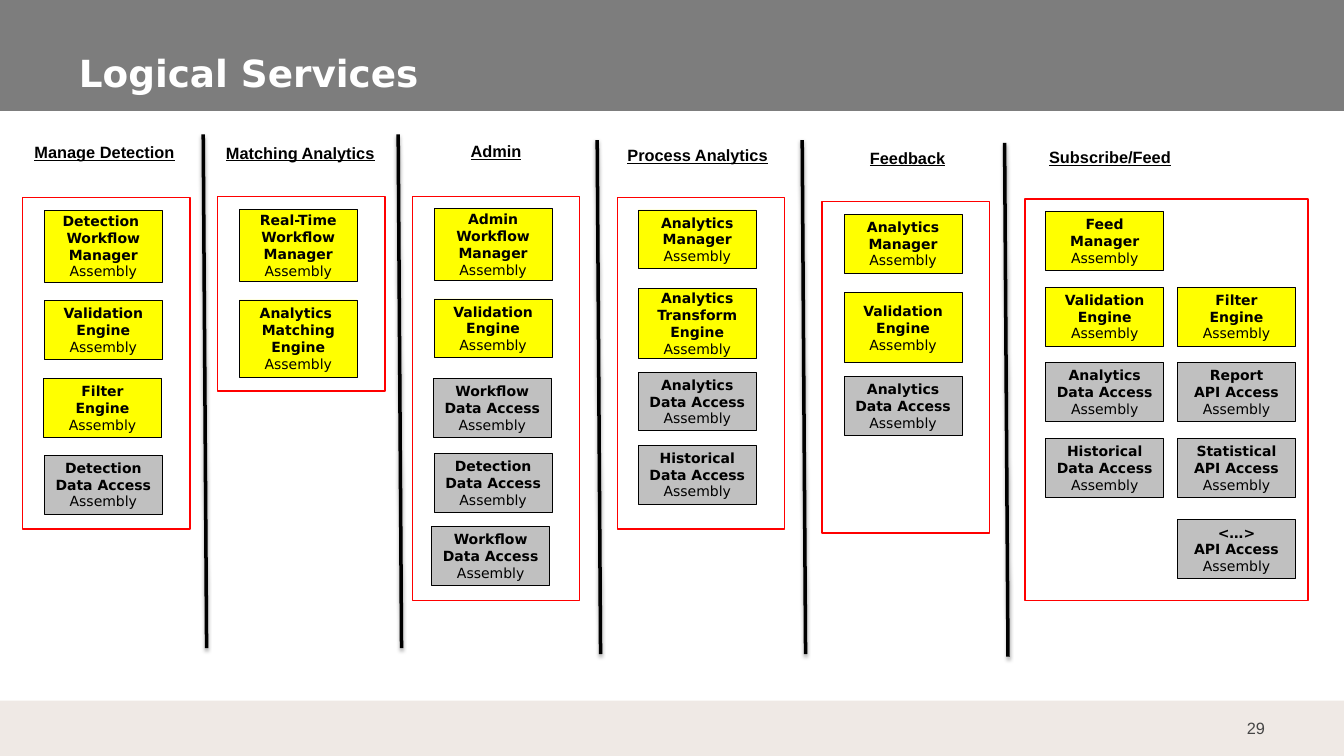
from lxml import etree
from pptx import Presentation
from pptx.dml.color import RGBColor
from pptx.enum import shapes, text
from pptx.oxml import ns
from pptx.util import Pt

BLACK = RGBColor(0, 0, 0)
WHITE = RGBColor(255, 255, 255)
RED = RGBColor(255, 0, 0)
YELLOW = RGBColor(255, 255, 0)
SILVER = RGBColor(0xC0, 0xC0, 0xC0)
GREY = RGBColor(0x7D, 0x7D, 0x7D)
BEIGE = RGBColor(0xEF, 0xE9, 0xE5)
DARK = RGBColor(0x46, 0x46, 0x46)
SANS, ARIAL = "DejaVu Sans", "Arial"
BOX_W, BOX_H, TALL, MID = 101, 50.4, 62, 60.5
PANEL_W, HEAD_W, HEAD_H = 143.3, 146.2, 24.5
ROW, GAP = 64.8, 113

PANELS = [
    ((19.4, 169.2, PANEL_W, 284.4), "Manage Detection", (-2.9, -51.1), [
        ("Detection |Workflow|Manager", YELLOW, 18.7, 10.8, TALL),
        ("Validation|Engine", YELLOW, 18.7, 88.6, BOX_H),
        ("Filter|Engine", YELLOW, 18, 155.5, BOX_H),
        ("Detection|Data Access", SILVER, 18.7, 221, BOX_H)]),
    ((186.5, 168.5, PANEL_W, 167), "Matching Analytics", (-2.2, -49.7), [
        ("Real-Time|Workflow|Manager", YELLOW, 18.7, 10.8, TALL),
        ("Analytics |Matching|Engine", YELLOW, 18.7, 88.6, 66.2)]),
    ((353.5, 168.5, PANEL_W, 346.3), "Admin", (-1.4, -51.1), [
        ("Admin|Workflow|Manager", YELLOW, 18.7, 10.1, TALL),
        ("Validation|Engine", YELLOW, 18.7, 87.8, BOX_H),
        ("Workflow|Data Access", SILVER, 18, 156.2, BOX_H),
        ("Detection|Data Access", SILVER, 18.7, 220.3, BOX_H),
        ("Workflow|Data Access", SILVER, 16.6, 283, BOX_H)]),
    ((529.2, 169.2, PANEL_W, 284.4), "Process Analytics", (-4.3, -48.2), [
        ("Analytics|Manager", YELLOW, 18, 10.8, BOX_H),
        ("Analytics|Transform|Engine", YELLOW, 18, 77.8, MID),
        ("Analytics|Data Access", SILVER, 18, 149.8, BOX_H),
        ("Historical|Data Access", SILVER, 18, 212.4, BOX_H)]),
    ((704.9, 172.8, PANEL_W, 284.4), "Feedback", (0, -49.7), [
        ("Analytics|Manager", YELLOW, 18.7, 10.8, BOX_H),
        ("Validation|Engine", YELLOW, 18.7, 77.8, MID),
        ("Analytics|Data Access", SILVER, 18.7, 149.8, BOX_H)]),
    ((878.4, 170.6, 242.6, 344.2), "Subscribe/Feed", (0, -48.2), [
        ("Feed|Manager", YELLOW, 18, 10.8, BOX_H),
        ("Validation|Engine", YELLOW, 18, 10.8 + ROW, BOX_H),
        ("Analytics|Data Access", SILVER, 18, 10.8 + 2 * ROW, BOX_H),
        ("Historical|Data Access", SILVER, 18, 10.8 + 3 * ROW, BOX_H),
        ("Filter|Engine", YELLOW, 18 + GAP, 10.8 + ROW, BOX_H),
        ("Report|API Access", SILVER, 18 + GAP, 10.8 + 2 * ROW, BOX_H),
        ("Statistical|API Access", SILVER, 18 + GAP, 10.8 + 3 * ROW, BOX_H),
        ("<…>|API Access", SILVER, 18 + GAP, 275, BOX_H)]),
]
RULES = [(174.2, 115.2), (341.3, 115.2), (511.9, 120.2), (687.6, 120.2), (861.1, 122.4)]


def put(para, words, face, size, color, bold=False, under=False):
    run = para.add_run()
    run.text = words
    font = run.font
    font.name, font.size, font.bold = face, Pt(size), bold
    font.underline = under
    font.color.rgb = color


def rect(slide, box, fill=None, line=None, width=0.75):
    shape = slide.shapes.add_shape(shapes.MSO_SHAPE.RECTANGLE, *map(Pt, box))
    shape.shadow.inherit = False
    if fill is None:
        shape.fill.background()
    else:
        shape.fill.solid()
        shape.fill.fore_color.rgb = fill
    if line is None:
        shape.line.fill.background()
    else:
        shape.line.color.rgb = line
        shape.line.width = Pt(width)
    return shape


def inset(frame):
    frame.margin_left = frame.margin_right = Pt(10)
    frame.margin_top = frame.margin_bottom = Pt(5)
    frame.word_wrap = True


def header(slide, box):
    left, top, width, height = box
    rect(slide, box, GREY)
    title = slide.shapes.title
    title.element.getparent().append(title.element)
    title.left, title.top = Pt(left + 59), Pt(top + 33.1)
    title.width, title.height = Pt(1023), Pt(53.3)
    frame = title.text_frame
    inset(frame)
    frame.auto_size = text.MSO_AUTO_SIZE.NONE
    frame.vertical_anchor = text.MSO_ANCHOR.BOTTOM
    para = frame.paragraphs[0]
    para.alignment = text.PP_ALIGN.LEFT
    put(para, "Logical Services", SANS, 32, WHITE, True)


def footer(slide, box):
    left, top, width, height = box
    rect(slide, box, BEIGE)
    label = slide.shapes.add_textbox(Pt(left + 1036.8), Pt(top + 5.8), Pt(57.6), Pt(34.6))
    frame = label.text_frame
    inset(frame)
    frame.vertical_anchor = text.MSO_ANCHOR.MIDDLE
    para = frame.paragraphs[0]
    para.alignment = text.PP_ALIGN.RIGHT
    put(para, "29", ARIAL, 14, DARK)


def service(slide, box, name, fill):
    frame = rect(slide, box, fill, BLACK).text_frame
    frame.word_wrap = False
    frame.vertical_anchor = text.MSO_ANCHOR.MIDDLE
    para = frame.paragraphs[0]
    for i, words in enumerate(name.split("|")):
        if i and fill == YELLOW:
            para = frame.add_paragraph()
        elif i:
            para.add_line_break()
        para.alignment = text.PP_ALIGN.CENTER
        put(para, words, SANS, 12, BLACK, True)
    para.add_line_break()
    put(para, "Assembly", SANS, 12, BLACK)


def panel(slide, box, name, shift, parts):
    left, top = box[:2]
    rect(slide, box, line=RED, width=1.5)
    for words, fill, dx, dy, height in parts:
        service(slide, (left + dx, top + dy, BOX_W, height), words, fill)
    head = slide.shapes.add_textbox(
        Pt(left + shift[0]), Pt(top + shift[1]), Pt(HEAD_W), Pt(HEAD_H))
    frame = head.text_frame
    frame.word_wrap = True
    para = frame.paragraphs[0]
    para.alignment = text.PP_ALIGN.CENTER
    put(para, name, ARIAL, 14, BLACK, True, True)


def rule(slide, left, top):
    line = slide.shapes.add_connector(
        shapes.MSO_CONNECTOR.STRAIGHT, Pt(left), Pt(top), Pt(left + 2.9), Pt(top + 440.4))
    line.line.color.rgb = BLACK
    line.line.width = Pt(3)
    props = line.element.find(ns.qn("p:spPr"))
    effect = etree.SubElement(props, ns.qn("a:effectLst"))
    shade = etree.SubElement(
        effect, ns.qn("a:outerShdw"), blurRad=str(Pt(3.1)), dist=str(Pt(1.8)),
        dir="5400000", rotWithShape="0")
    color = etree.SubElement(shade, ns.qn("a:srgbClr"), val=str(BLACK))
    etree.SubElement(color, ns.qn("a:alpha"), val="35000")


def main():
    deck = Presentation()
    deck.slide_width, deck.slide_height = Pt(1152), Pt(648)
    slide = deck.slides.add_slide(deck.slide_layouts[5])
    header(slide, (-1.4, 0, 1155.6, 95))
    footer(slide, (0, 600.5, 1152, 47.5))
    for parts in PANELS:
        panel(slide, *parts)
    for spot in RULES:
        rule(slide, *spot)
    deck.save("out.pptx")


if __name__ == "__main__":
    main()
